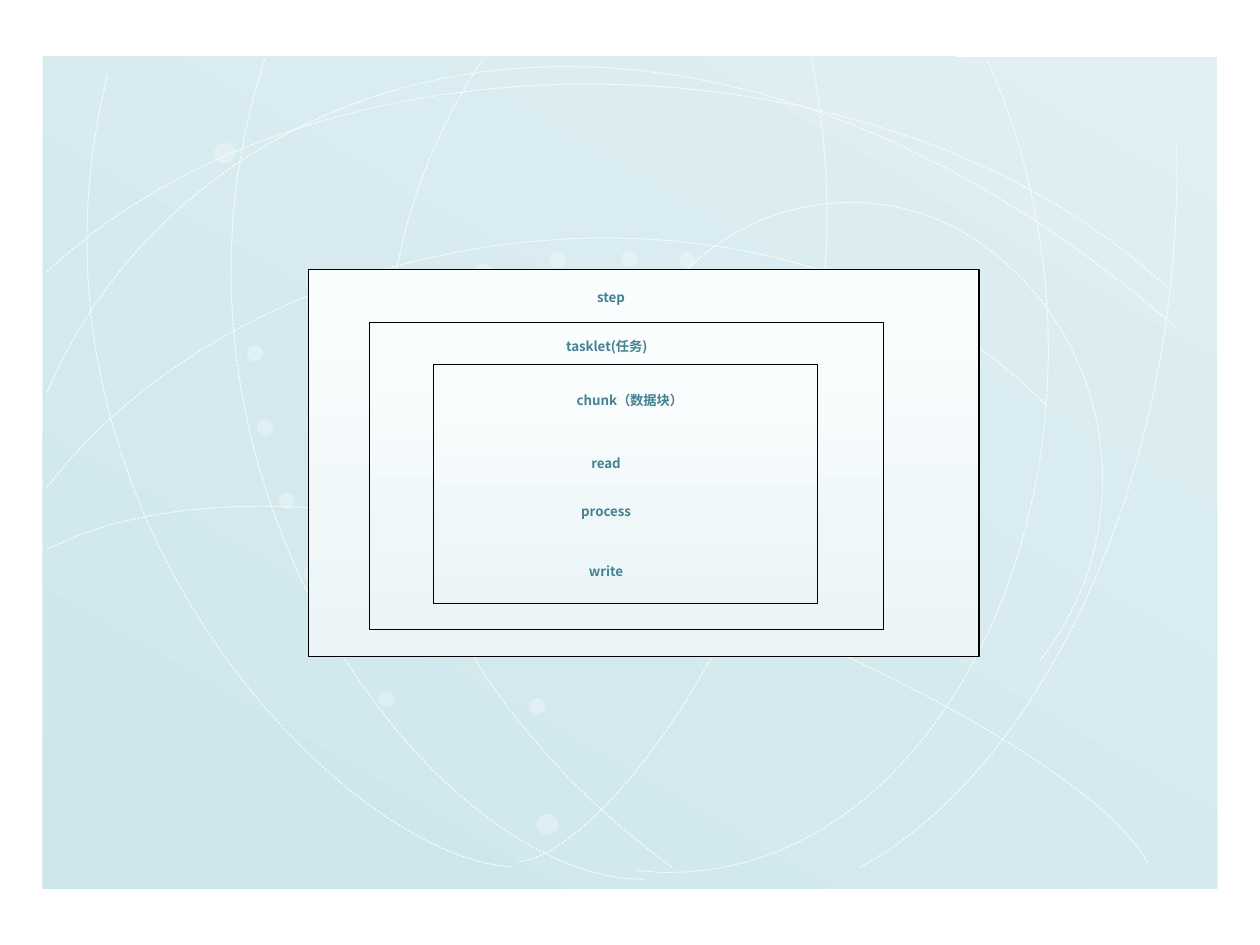
from dataclasses import dataclass

from lxml import etree
from pptx import Presentation
from pptx.dml.color import RGBColor
from pptx.enum.dml import MSO_LINE
from pptx.enum.shapes import MSO_SHAPE
from pptx.enum.text import MSO_ANCHOR, PP_ALIGN
from pptx.oxml.ns import qn
from pptx.util import Cm, Pt

RECT, OVAL = MSO_SHAPE.RECTANGLE, MSO_SHAPE.OVAL
DASH = MSO_LINE.SQUARE_DOT
CENTER, MIDDLE = PP_ALIGN.CENTER, MSO_ANCHOR.MIDDLE
INCH = 2.54
STEPS = 32

SMALL, LARGE = 0.13, 0.17
DOTS = [
    (1.7, 1.13, LARGE), (4.26, 6.46, LARGE), (1.96, 2.74, SMALL),
    (5.39, 2, SMALL), (4.36, 2, SMALL), (3.77, 2.09, SMALL),
    (3, 5.48, SMALL), (2.41, 4.49, SMALL), (2.21, 3.91, SMALL),
    (2.04, 3.33, SMALL), (4.2, 5.54, SMALL), (4.93, 1.99, SMALL),
]
CURVES = [
    [(8.25, 5.25), (9.04, 4.25), (8.88, 2.8), (7.89, 2.01),
     (7.1, 1.37), (5.94, 1.51), (5.31, 2.3)],
    [(0.37, 3.12), (1.5, 0.46), (5.36, -0.83), (9.34, 2.6)],
    [(7.84, 0.48), (9.19, 3.53), (7.52, 7.2), (5.04, 6.91)],
    [(0.37, 3.87), (2.09, 1.63), (6.24, 1.12), (8.31, 3.22)],
    [(6.44, 0.46), (7.1, 3.73), (4.95, 6.75), (4.12, 6.84)],
    [(9.34, 1.15), (9.39, 3.92), (8.16, 6.19), (6.81, 6.89)],
    [(0.37, 2.16), (2.52, 0.12), (7.02, 0.18), (9.26, 2.28)],
    [(0.37, 4.36), (2.92, 3.07), (8.57, 5.75), (9.11, 6.85)],
    [(2.1, 0.47), (1.02, 3.77), (3.45, 6.98), (5.11, 6.98)],
    [(3.83, 0.47), (2.49, 2.5), (2.91, 5.1), (5.34, 6.89)],
    [(0.85, 0.6), (-0.01, 4.07), (2.79, 6.85), (4.08, 6.88)],
]
BOXES = [
    (2.45, 2.14, 5.32, 3.07),
    (2.93, 2.56, 4.08, 2.44),
    (3.44, 2.89, 3.05, 1.9),
]
LABELS = [
    ("step", 4.3, 2.22, 1.1, 0.27),
    ("tasklet(任务)", 4.46, 2.65, 0.71, 0.19),
    ("chunk（数据块）", 4.48, 3.08, 1.04, 0.2),
    ("read", 4.28, 3.54, 1.06, 0.27),
    ("process", 4.24, 3.9, 1.14, 0.32),
    ("write", 4.28, 4.37, 1.06, 0.32),
]


@dataclass(frozen=True)
class Theme:
    """Colours, font and sizes of the slide."""
    panel: tuple = ("E0EFF3", "CCE6EC")
    box: tuple = ("FAFDFD", "EBF5F8")
    glow: str = "FFFFFF"
    edge: str = "000000"
    ink: str = "448291"
    font: str = "Noto Sans CJK SC"
    text: float = 7.6
    line: float = 0.6
    dot: int = 31
    arc: int = 80


def to_cm(*sizes):
    """Turn inch values into lengths."""
    return [Cm(size * INCH) for size in sizes]


def bend(start, pull, push, end):
    """List points along one cubic curve, after its start."""
    points = []
    for step in range(1, STEPS + 1):
        t = step / STEPS
        u = 1 - t
        points.append(tuple(
            u**3 * a + 3 * u * u * t * b + 3 * u * t * t * c + t**3 * d
            for a, b, c, d in zip(start, pull, push, end)))
    return points


class Canvas:
    """Draws styled elements on the current slide."""

    def __init__(self, slide, theme):
        """Keep the slide and its theme."""
        self.slide, self.theme = slide, theme

    def tint(self, fill, color, alpha):
        """Set a see-through solid fill."""
        fill.solid()
        fill.fore_color.rgb = RGBColor.from_string(color)

    def fade(self, shape, alpha):
        """Set the opacity of every solid colour of a shape."""
        for color in shape._element.spPr.iter(qn("a:srgbClr")):
            etree.SubElement(color, qn("a:alpha"), val=str(alpha * 1000))

    def block(self, area, colors, angle, edge=None):
        """Draw a rectangle with a two-colour gradient."""
        shape = self.slide.shapes.add_shape(RECT, *to_cm(*area))
        shape.shadow.inherit = False
        shape.fill.gradient()
        shape.fill.gradient_angle = 360 - angle
        for stop, color in zip(shape.fill.gradient_stops, colors):
            stop.color.rgb = RGBColor.from_string(color)
        if edge:
            shape.line.color.rgb = RGBColor.from_string(edge)
            shape.line.width = Pt(self.theme.line)
        else:
            shape.line.fill.background()

    def dot(self, left, top, size):
        """Draw a pale round dot."""
        shape = self.slide.shapes.add_shape(OVAL, *to_cm(left, top, size, size))
        shape.shadow.inherit = False
        shape.fill.solid()
        shape.fill.fore_color.rgb = RGBColor.from_string(self.theme.glow)
        shape.line.fill.background()
        self.fade(shape, self.theme.dot)

    def curve(self, knots):
        """Draw a dashed open curve."""
        points = [point for i in range(0, len(knots) - 1, 3)
                  for point in bend(*knots[i:i + 4])]
        pen = self.slide.shapes.build_freeform(*to_cm(*knots[0]))
        pen.add_line_segments([to_cm(*point) for point in points], close=False)
        shape = pen.convert_to_shape()
        shape.shadow.inherit = False
        shape.fill.background()
        shape.line.color.rgb = RGBColor.from_string(self.theme.glow)
        shape.line.width = Pt(self.theme.line)
        shape.line.dash_style = DASH
        self.fade(shape, self.theme.arc)

    def label(self, text, *area):
        """Write a centred bold label."""
        frame = self.slide.shapes.add_textbox(*to_cm(*area)).text_frame
        frame.margin_left = frame.margin_right = 0
        frame.margin_top = frame.margin_bottom = 0
        frame.vertical_anchor = MIDDLE
        frame.word_wrap = False
        para = frame.paragraphs[0]
        para.text = text
        para.alignment = CENTER
        font = para.font
        font.name, font.size, font.bold = self.theme.font, Pt(self.theme.text), True
        font.color.rgb = RGBColor.from_string(self.theme.ink)
        style = para._p.pPr.find(qn("a:defRPr"))
        etree.SubElement(style, qn("a:ea"), typeface=self.theme.font)


def main():
    """Build the slide and save it."""
    deck = Presentation()
    deck.slide_width, deck.slide_height = to_cm(10, 7.5)
    theme = Theme()
    canvas = Canvas(deck.slides.add_slide(deck.slide_layouts[6]), theme)
    canvas.block((0.34, 0.45, 9.32, 6.6), theme.panel, 120)
    for knots in CURVES:
        canvas.curve(knots)
    for dot in DOTS:
        canvas.dot(*dot)
    for area in BOXES:
        canvas.block(area, theme.box, 90, theme.edge)
    for label in LABELS:
        canvas.label(*label)
    deck.save("out.pptx")


if __name__ == "__main__":
    main()
